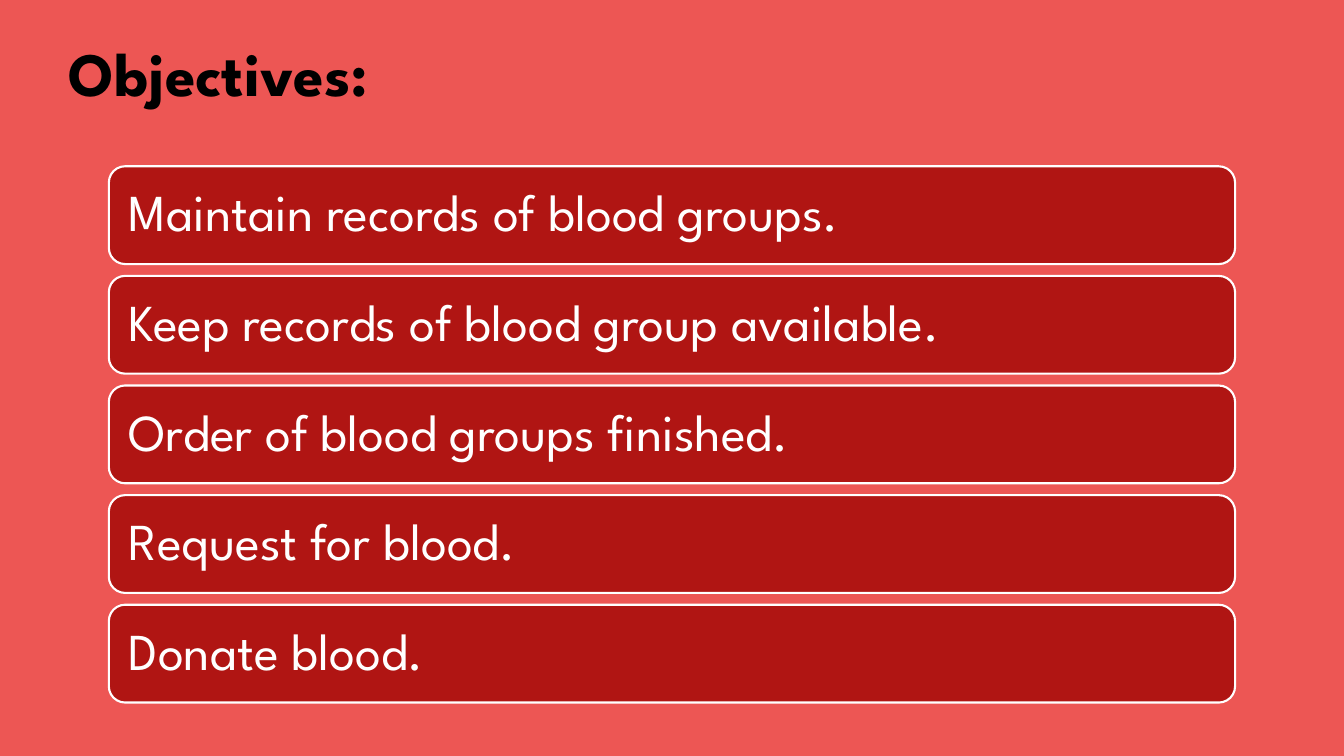
from pptx import Presentation
from pptx.dml.color import RGBColor
from pptx.enum.shapes import MSO_SHAPE
from pptx.enum.text import MSO_ANCHOR, PP_ALIGN
from pptx.util import Inches, Pt

# Content
TITLE = "Objectives:"
OBJECTIVES = [
    "Maintain records of blood groups.",
    "Keep records of blood group available.",
    "Order of blood groups finished.",
    "Request for blood.",
    "Donate blood.",
]

THEME = {
    "font": "League Spartan",
    "background": RGBColor(0xED, 0x56, 0x54),
    "bar": RGBColor(0xB0, 0x15, 0x13),
    "title": RGBColor(0, 0, 0),
    "light": RGBColor(255, 255, 255),
    "title_size": Pt(44),
    "bar_size": Pt(37),
    "outline": Pt(1.5),
}

# Layout, in inches
TITLE_BOX = (0.64, 0.35, 4.49, 1.11)
BAR_LEFT, BAR_WIDTH, BAR_HEIGHT = 1.08, 11.17, 0.97
FIRST_TOP, LAST_TOP = 1.65, 6.0
BAR_INSET = 0.15


def write(tf, text, size, color, margins, bold=False):
    tf.word_wrap = True
    tf.margin_left, tf.margin_top, tf.margin_right, tf.margin_bottom = map(Inches, margins)
    tf.text = text
    p = tf.paragraphs[0]
    p.alignment = PP_ALIGN.LEFT
    font = p.runs[0].font
    font.name, font.size, font.bold = THEME["font"], size, bold
    font.color.rgb = color
    return p


def add_bar(s, text, top):
    sp = s.shapes.add_shape(MSO_SHAPE.ROUNDED_RECTANGLE, Inches(BAR_LEFT), Inches(top),
                            Inches(BAR_WIDTH), Inches(BAR_HEIGHT))
    sp.shadow.inherit = False
    sp.fill.solid()
    sp.fill.fore_color.rgb = THEME["bar"]
    sp.line.color.rgb = THEME["light"]
    sp.line.width = THEME["outline"]
    tf = sp.text_frame
    tf.vertical_anchor = MSO_ANCHOR.MIDDLE
    p = write(tf, text, THEME["bar_size"], THEME["light"], [BAR_INSET] * 4)
    p.line_spacing = 0.9


def main():
    prs = Presentation()
    prs.slide_width, prs.slide_height = Inches(13.33), Inches(7.5)
    s = prs.slides.add_slide(prs.slide_layouts[6])
    s.background.fill.solid()
    s.background.fill.fore_color.rgb = THEME["background"]

    # Title
    title = s.shapes.add_textbox(*map(Inches, TITLE_BOX))
    write(title.text_frame, TITLE, THEME["title_size"], THEME["title"],
          (0.04, 0, 0, 0), bold=True)

    # Evenly spaced objective bars
    step = (LAST_TOP - FIRST_TOP) / (len(OBJECTIVES) - 1)
    for i, text in enumerate(OBJECTIVES):
        add_bar(s, text, FIRST_TOP + i * step)

    prs.save("out.pptx")


if __name__ == "__main__":
    main()
